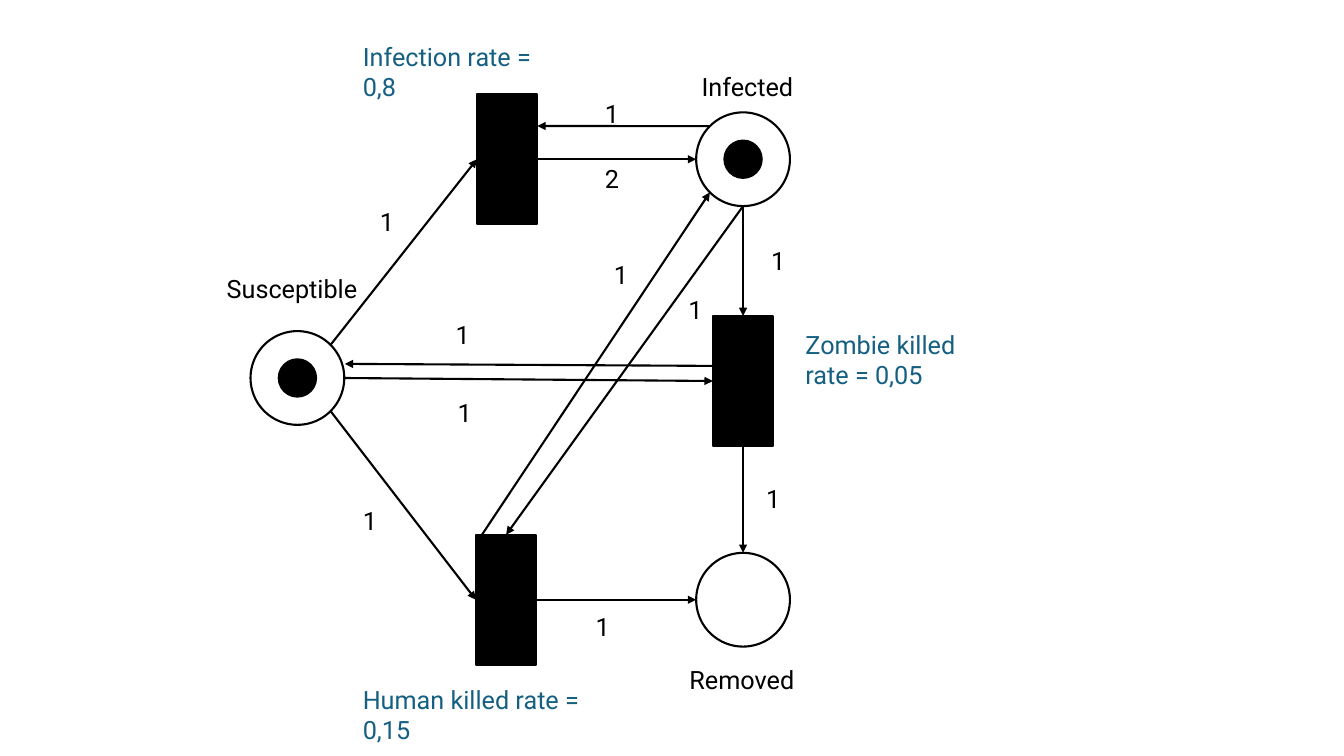
from math import cos, radians, sin

from lxml import etree
from pptx import Presentation
from pptx.dml.color import RGBColor
from pptx.enum.shapes import MSO_CONNECTOR, MSO_SHAPE
from pptx.enum.text import MSO_AUTO_SIZE
from pptx.oxml.ns import qn
from pptx.util import Inches, Pt

OVAL, RECT = MSO_SHAPE.OVAL, MSO_SHAPE.RECTANGLE
STRAIGHT = MSO_CONNECTOR.STRAIGHT
GROW = MSO_AUTO_SIZE.SHAPE_TO_FIT_TEXT
TOP, LEFT, BOTTOM, RIGHT = range(4)

THEME = {
    "ink": RGBColor(0, 0, 0),
    "paper": RGBColor(255, 255, 255),
    "rate": RGBColor(0x15, 0x60, 0x82),
    "font": "Roboto",
    "size": Pt(18),
    "line": Pt(1.5),
}

# Content: places hold centre and whether they carry a token
PLACES = {
    "Susceptible": (2.95, 3.75, True),
    "Removed": (7.37, 5.95, False),
    "Infected": (7.37, 1.58, True),
}
TRANSITIONS = {
    "infection": (5.03, 1.58),
    "human killed": (5.02, 5.95),
    "zombie killed": (7.37, 3.78),
}
PLACE_SIZE, TOKEN_SIZE = 0.93, 0.37
BAR_W, BAR_H = 0.6, 1.29

# An arc end is (transition, side), (place, clockwise angle from the right) or (x, y)
ARCS = [
    (("Susceptible", 45), ("human killed", LEFT)),
    (("Susceptible", -45), ("infection", LEFT)),
    (("human killed", RIGHT), ("Removed", 180)),
    (("Infected", 90), ("human killed", TOP)),
    (("infection", RIGHT), ("Infected", 180)),
    (("Infected", 225), (5.33, 1.25)),
    (("Susceptible", 0), ("zombie killed", LEFT)),
    (("Infected", 90), ("zombie killed", TOP)),
    (("zombie killed", BOTTOM), ("Removed", -90)),
    ((4.75, 5.35), ("Infected", 135)),
    ((7.07, 3.63), (3.42, 3.61)),
]

# Text: lines, left, top, width
NAMES = [
    (["Infected"], 6.86, 0.66, 1.18),
    (["Removed"], 6.74, 6.54, 1.36),
    (["Susceptible"], 2.15, 2.66, 1.62),
]
WEIGHTS = [
    ("1", 5.9, 0.93), ("2", 5.9, 1.57), ("1", 3.67, 2.0), ("1", 3.5, 4.96),
    ("1", 4.42, 3.12), ("1", 4.44, 3.89), ("1", 5.81, 6.02), ("1", 7.5, 4.75),
    ("1", 7.55, 2.38), ("1", 5.99, 2.52), ("1", 6.73, 2.87),
]
WEIGHT_W = 0.34
RATES = [
    (["Infection rate =", "0,8"], 3.5, 0.36, 2.22),
    (["Human killed rate =", "0,15"], 3.5, 6.74, 2.84),
    (["Zombie killed", "rate = 0,05"], 7.89, 3.22, 1.71),
]


def add_node(s, kind, cx, cy, w, h, fill):
    sp = s.shapes.add_shape(kind, Inches(cx - w / 2), Inches(cy - h / 2),
                            Inches(w), Inches(h))
    sp.shadow.inherit = False
    sp.fill.solid()
    sp.fill.fore_color.rgb = THEME[fill]
    sp.line.color.rgb = THEME["ink"]
    sp.line.width = THEME["line"]
    return sp


def end_point(end):
    name, where = end
    if name in TRANSITIONS:
        return TRANSITIONS[name]  # moved to the side when joined
    if name in PLACES:
        cx, cy, _ = PLACES[name]
        a, r = radians(where), PLACE_SIZE / 2
        return cx + r * cos(a), cy + r * sin(a)
    return end


def add_arc(s, bars, start, end):
    points = [Inches(v) for v in (*end_point(start), *end_point(end))]
    arc = s.shapes.add_connector(STRAIGHT, *points)
    for (name, side), join in ((start, arc.begin_connect), (end, arc.end_connect)):
        if name in bars:
            join(bars[name], side)
    arc.line.color.rgb = THEME["ink"]
    arc.line.width = THEME["line"]
    etree.SubElement(arc.line._get_or_add_ln(), qn("a:tailEnd"), type="triangle")
    etree.SubElement(arc._element.spPr, qn("a:effectLst"))


def add_label(s, lines, left, top, width, color="ink"):
    height = 0.09 + 0.31 * len(lines)
    tf = s.shapes.add_textbox(Inches(left), Inches(top), Inches(width),
                              Inches(height)).text_frame
    tf.word_wrap = True
    tf.auto_size = GROW
    tf.text = "\n".join(lines)
    for p in tf.paragraphs:
        font = p.runs[0].font
        for key, value in {"name": THEME["font"], "size": THEME["size"]}.items():
            setattr(font, key, value)
        font.color.rgb = THEME[color]


def main():
    prs = Presentation()
    prs.slide_width, prs.slide_height = Inches(13.33), Inches(7.5)
    s = prs.slides.add_slide(prs.slide_layouts[6])

    # Places with their tokens
    for cx, cy, token in PLACES.values():
        add_node(s, OVAL, cx, cy, PLACE_SIZE, PLACE_SIZE, "paper")
        if token:
            add_node(s, OVAL, cx, cy, TOKEN_SIZE, TOKEN_SIZE, "ink")

    # Transitions and arcs
    bars = {name: add_node(s, RECT, cx, cy, BAR_W, BAR_H, "ink")
            for name, (cx, cy) in TRANSITIONS.items()}
    for start, end in ARCS:
        add_arc(s, bars, start, end)

    # Labels
    for name in NAMES:
        add_label(s, *name)
    for weight, left, top in WEIGHTS:
        add_label(s, [weight], left, top, WEIGHT_W)
    for rate in RATES:
        add_label(s, *rate, color="rate")

    prs.save("out.pptx")


if __name__ == "__main__":
    main()
